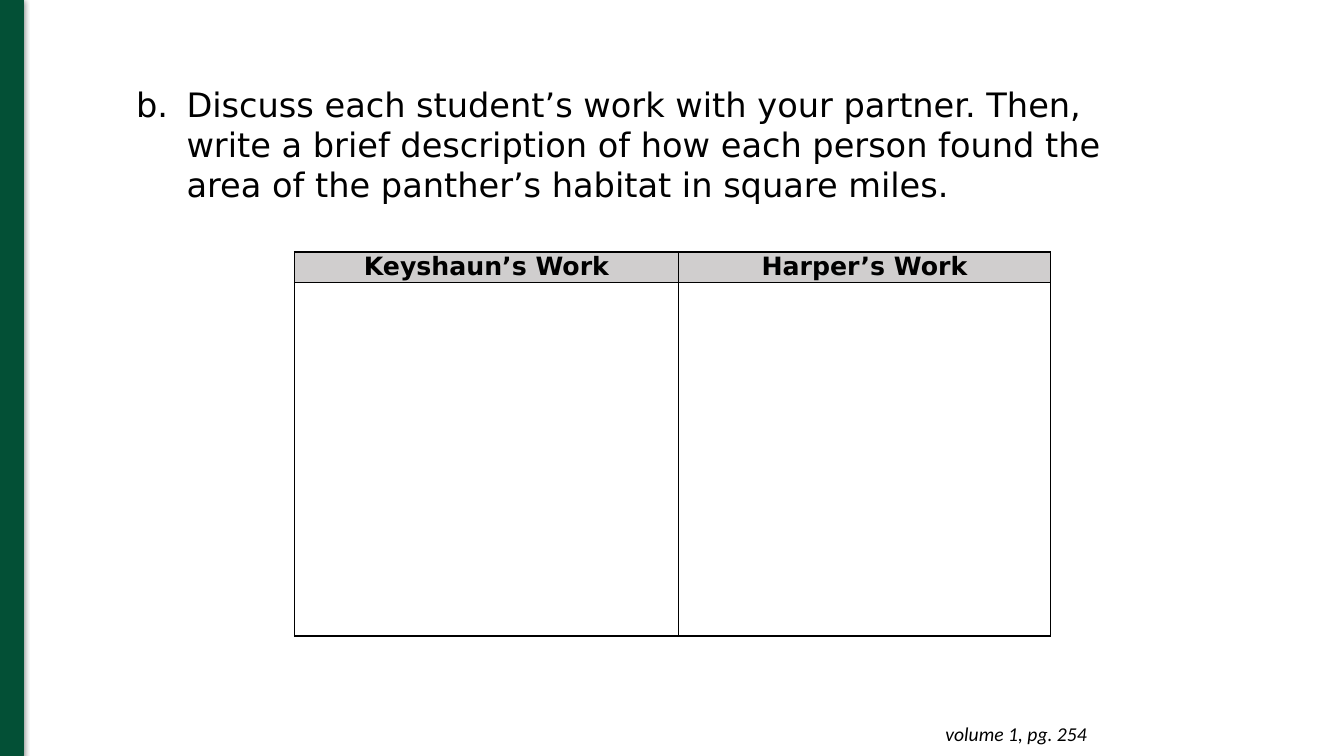
from lxml.etree import SubElement
from pptx import Presentation
from pptx.dml.color import RGBColor
from pptx.enum.shapes import MSO_SHAPE
from pptx.enum.text import MSO_ANCHOR, MSO_AUTO_SIZE, PP_ALIGN
from pptx.oxml.ns import qn
from pptx.util import Inches, Pt

TASK = ("Discuss each student’s work with your partner. Then, write a brief description "
        "of how each person found the area of the panther’s habitat in square miles.")
HEADINGS = ["Keyshaun’s Work", "Harper’s Work"]
REFERENCE = "volume 1, pg. 254"
COLUMN_WIDTHS = [3.81, 3.69]
ROW_HEIGHTS = [0.3, 3.51]
GREEN, GRAY, BLACK = "035036", "D0CECE", "000000"


def color(value):
    """Turn a hex string into a colour."""
    return RGBColor.from_string(value)


def place(shape, left, top, width, height):
    """Move and size a shape in inches."""
    shape.left, shape.top = Inches(left), Inches(top)
    shape.width, shape.height = Inches(width), Inches(height)


def style(para, name, size, bold=False, italic=False):
    """Format every run of a paragraph."""
    for span in para.runs:
        font = span.font
        font.name, font.size = name, Pt(size)
        font.bold, font.italic = bold, italic
        font.color.rgb = color(BLACK)


def add_solid(parent, value):
    """Add a solid colour to an XML element and return the colour element."""
    fill = SubElement(parent, qn("a:solidFill"))
    return SubElement(fill, qn("a:srgbClr"), val=value)


def add_side_bar(page):
    """Draw the green bar with its soft shadow."""
    bar = page.shapes.add_shape(MSO_SHAPE.RECTANGLE, 0, 0, 0, 0)
    place(bar, -0.01, -0.01, 0.24, 7.51)
    bar.fill.solid()
    bar.fill.fore_color.rgb = color(GREEN)
    bar.line.color.rgb = color(GREEN)
    bar.line.width = Pt(0.75)
    bar.shadow.inherit = False
    effects = bar.element.spPr.find(qn("a:effectLst"))
    shadow = SubElement(effects, qn("a:outerShdw"), blurRad=str(Pt(4.5)),
                        dist=str(Pt(1.5)), dir="5400000", rotWithShape="0")
    tint = SubElement(shadow, qn("a:srgbClr"), val=BLACK)
    SubElement(tint, qn("a:alpha"), val="50000")


def add_reference(page):
    """Write the page reference at the bottom."""
    box = page.shapes.add_textbox(0, 0, 0, 0)
    place(box, 8, 7.06, 2.88, 0.44)
    frame = box.text_frame
    frame.word_wrap = True
    frame.margin_top = frame.margin_bottom = Inches(0.1)
    frame.text = REFERENCE
    para = frame.paragraphs[0]
    para.alignment = PP_ALIGN.RIGHT
    style(para, "Calibri", 14, italic=True)


def fill_task(body):
    """Write the lettered task in the body placeholder."""
    place(body, 0.75, 0.78, 10.59, 1.31)
    frame = body.text_frame
    frame.auto_size = MSO_AUTO_SIZE.SHAPE_TO_FIT_TEXT
    frame.text = TASK
    para = frame.paragraphs[0]
    para.space_before = Pt(0)
    properties = para._p.get_or_add_pPr()
    properties.set("marL", str(Inches(1)))
    properties.set("indent", str(Inches(-0.5)))
    tint = SubElement(properties, qn("a:buClr"))
    SubElement(tint, qn("a:srgbClr"), val=BLACK)
    SubElement(properties, qn("a:buFont"), typeface="DejaVu Sans")
    SubElement(properties, qn("a:buAutoNum"), type="alphaLcPeriod", startAt="2")
    style(para, "DejaVu Sans", 24)


def add_work_table(page):
    """Add the two-column table for the students' work."""
    frame = page.shapes.add_table(len(ROW_HEIGHTS), len(COLUMN_WIDTHS), Inches(2.92), Inches(2.5),
                                  Inches(sum(COLUMN_WIDTHS)), Inches(sum(ROW_HEIGHTS)))
    table = frame.table
    table.first_row = table.horz_banding = False
    for column, width in zip(table.columns, COLUMN_WIDTHS):
        column.width = Inches(width)
    for row, height in zip(table.rows, ROW_HEIGHTS):
        row.height = Inches(height)
    for cell in table.iter_cells():
        properties = cell._tc.get_or_add_tcPr()
        for side in ("lnL", "lnR", "lnT", "lnB"):
            add_solid(SubElement(properties, qn(f"a:{side}"), w=str(Pt(1))), BLACK)
        cell.fill.background()
    for cell, heading in zip(table.rows[0].cells, HEADINGS):
        cell.fill.solid()
        cell.fill.fore_color.rgb = color(GRAY)
        cell.vertical_anchor = MSO_ANCHOR.MIDDLE
        cell.margin_left = cell.margin_right = Inches(0.07)
        cell.margin_top = cell.margin_bottom = 0
        cell.text_frame.text = heading
        para = cell.text_frame.paragraphs[0]
        para.alignment = PP_ALIGN.CENTER
        style(para, "DejaVu Sans", 18, bold=True)


def main():
    """Build and save the slide."""
    deck = Presentation()
    deck.slide_width, deck.slide_height = Inches(13.33), Inches(7.5)
    page = deck.slides.add_slide(deck.slide_layouts[1])
    title = page.shapes.title.element
    title.getparent().remove(title)
    add_side_bar(page)
    add_reference(page)
    fill_task(page.placeholders[1])
    add_work_table(page)
    deck.save("out.pptx")


if __name__ == "__main__":
    main()
